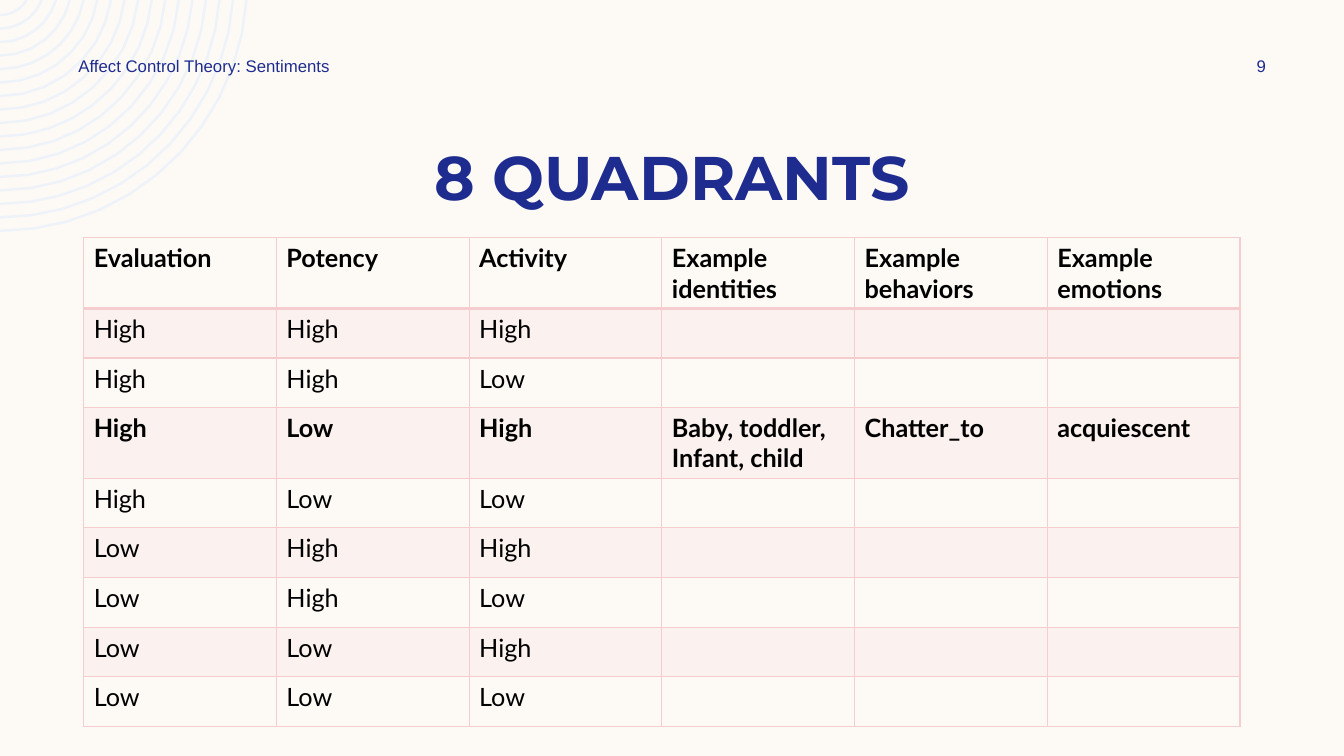
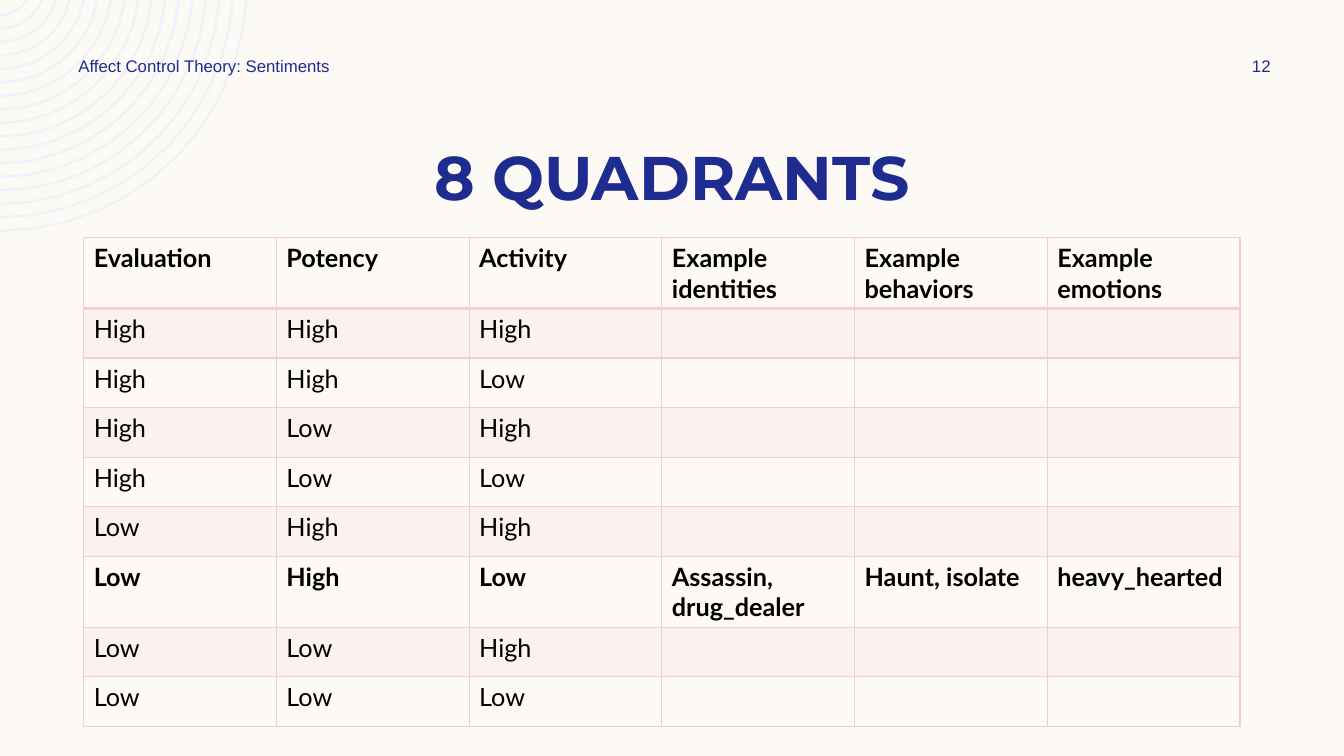
"""Build the two slides on the eight quadrants of affect control theory."""
from itertools import product
from math import asin, cos, pi, sin

from lxml import etree
from pptx import Presentation
from pptx.dml.color import RGBColor
from pptx.enum.text import MSO_ANCHOR, PP_ALIGN
from pptx.oxml.ns import qn
from pptx.util import Inches, Pt

LEFT, CENTER = PP_ALIGN.LEFT, PP_ALIGN.CENTER
TOP, MIDDLE = MSO_ANCHOR.TOP, MSO_ANCHOR.MIDDLE

CREAM = RGBColor(0xFD, 0xFA, 0xF6)
NAVY = RGBColor(0x1F, 0x2C, 0x8F)
PINK = RGBColor(0xF5, 0xCD, 0xCE)
PALE = RGBColor(0xEE, 0xF3, 0xFA)
BLACK = RGBColor(0, 0, 0)

HEADS = ("Evaluation", "Potency", "Activity", "Example identities",
         "Example behaviors", "Example emotions")
LEVELS = list(product(("High", "Low"), repeat=3))
SLIDES = (
    ("9", ("High", "Low", "High"),
     ("Baby, toddler,\nInfant, child", "Chatter_to", "acquiescent")),
    ("12", ("Low", "High", "Low"),
     ("Assassin, drug_dealer", "Haunt, isolate", "heavy_hearted")),
)


def write(frame, text, font="Arial", size=12, color=NAVY, bold=False, align=LEFT):
    """Fill a text frame with formatted text, one paragraph a line."""
    frame.text = text
    frame.word_wrap = True
    for para in frame.paragraphs:
        para.alignment = align
        para.font.name = font
        para.font.size = Pt(size)
        para.font.color.rgb = color
        para.font.bold = bold


def add_text(slide, text, box, anchor=MIDDLE, **style):
    """Add a text box at the given left, top, width and height."""
    frame = slide.shapes.add_textbox(*map(Inches, box)).text_frame
    frame.vertical_anchor = anchor
    write(frame, text, **style)


def arc(radius, drop=0.16):
    """Return the visible points of a circle centred above the corner."""
    start = asin(drop / radius)
    steps = 4 + round(3 * radius)
    turns = [start + (pi / 2 - start) * i / steps for i in range(steps + 1)]
    return [(Inches(radius * cos(t)), Inches(radius * sin(t) - drop)) for t in turns]


def add_rings(slide, count=17, outer=2.45, inner=0.31):
    """Draw the concentric rings in the top left corner."""
    gap = (outer - inner) / (count - 1)
    first, *rest = [arc(outer - gap * i) for i in range(count)]
    pen = slide.shapes.build_freeform(*first[0])
    pen.add_line_segments(first[1:], close=False)
    for ring in rest:
        pen.move_to(*ring[0])
        pen.add_line_segments(ring[1:], close=False)
    rings = pen.convert_to_shape()
    rings.shadow.inherit = False
    rings.fill.background()
    rings.line.color.rgb = PALE
    rings.line.width = Pt(1.8)


def set_edges(cell, top, bottom):
    """Draw the four borders of a cell, with top and bottom widths in points."""
    props = cell._tc.get_or_add_tcPr()
    for side, width in (("L", 1), ("R", 1), ("T", top), ("B", bottom)):
        line = etree.SubElement(props, qn(f"a:ln{side}"), w=str(Pt(width)))
        fill = etree.SubElement(line, qn("a:solidFill"))
        etree.SubElement(fill, qn("a:srgbClr"), val=str(PINK))


def set_fill(cell, tinted):
    """Give a cell a faint pink tint, or no fill."""
    if not tinted:
        cell.fill.background()
        return
    cell.fill.solid()
    cell.fill.fore_color.rgb = PINK
    color = cell._tc.tcPr.find(f"{qn('a:solidFill')}/{qn('a:srgbClr')}")
    etree.SubElement(color, qn("a:alpha"), val="20000")


def add_grid(slide, chosen, samples):
    """Add the quadrant table, with samples in the chosen row."""
    rows = [HEADS]
    rows += [lev + (samples if lev == chosen else ("",) * 3) for lev in LEVELS]
    box = map(Inches, (0.83, 2.36, 11.47, 4.43))
    table = slide.shapes.add_table(len(rows), len(HEADS), *box).table
    table.horz_banding = False
    for r, row in enumerate(rows):
        for c, text in enumerate(row):
            cell = table.cell(r, c)
            if text:
                bold = r == 0 or row[:3] == chosen
                write(cell.text_frame, text, font="Lato", size=18, color=BLACK, bold=bold)
            set_edges(cell, top=2 if r == 1 else 1, bottom=2 if r == 0 else 1)
            set_fill(cell, r % 2 == 1)


def add_slide(deck, number, chosen, samples):
    """Add one slide with its rings, title, table and header."""
    slide = deck.slides.add_slide(deck.slide_layouts[6])
    add_rings(slide)
    add_text(slide, "8 QUADRANTS", (0.83, 1.33, 11.67, 0.84), anchor=TOP,
             font="Montserrat", size=44, bold=True, align=CENTER)
    add_grid(slide, chosen, samples)
    add_text(slide, "Affect Control Theory: Sentiments", (0.68, 0.5, 3.5, 0.3))
    add_text(slide, number, (11.97, 0.5, 1.08, 0.3), align=CENTER)


def main():
    """Build and save the deck."""
    deck = Presentation()
    deck.slide_width, deck.slide_height = Inches(13.33), Inches(7.5)
    back = deck.slide_master.background.fill
    back.solid()
    back.fore_color.rgb = CREAM
    for page in SLIDES:
        add_slide(deck, *page)
    deck.save("out.pptx")


if __name__ == "__main__":
    main()
